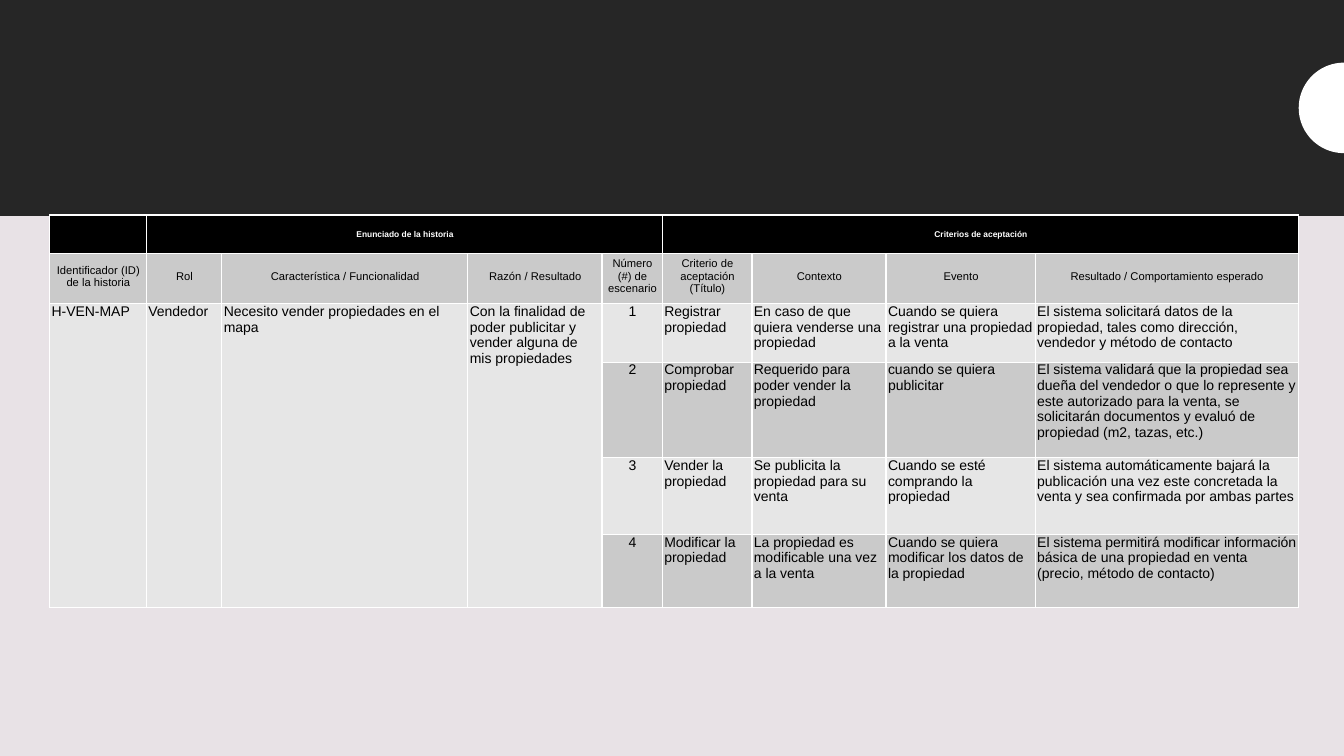
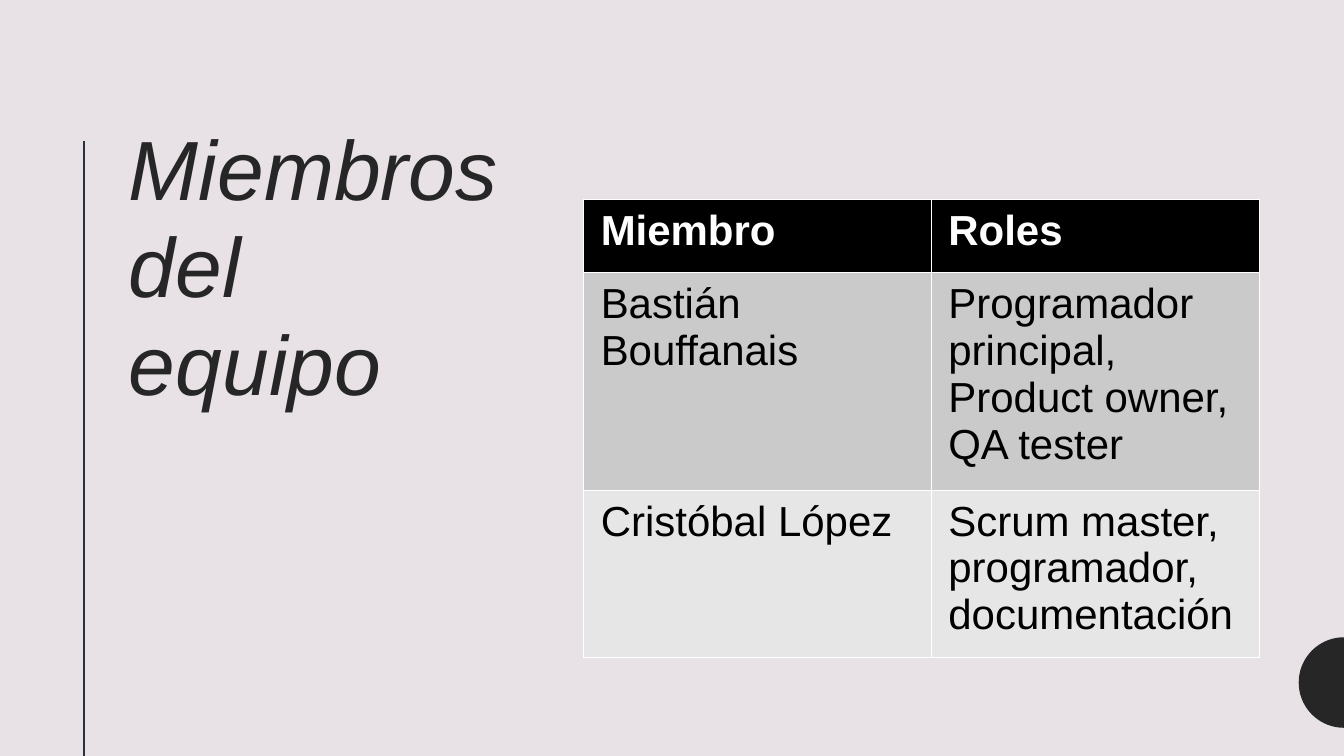
from math import cos, pi, sin

from lxml import etree
from pptx import Presentation
from pptx.dml.color import RGBColor
from pptx.enum.shapes import MSO_CONNECTOR as Connector, MSO_SHAPE as Shape
from pptx.enum.text import MSO_ANCHOR as Anchor, PP_ALIGN as Align
from pptx.oxml.ns import qn
from pptx.util import Cm, Pt

PAGE_WIDTH, PAGE_HEIGHT = 33.87, 19.05
FONT = "Arial"
PALE, DARK, NAVY = "E8E2E6", "262626", "243241"
BLACK, WHITE = "000000", "FFFFFF"
HEAD_FILL, ODD_FILL, EVEN_FILL = BLACK, "CACACA", "E6E6E6"

DISC_RADIUS = 1.14
DISC_STEPS = 48

# Margins are left, top, right, bottom in centimetres.
BAND_STYLE = {"size": 6, "bold": True, "color": WHITE, "align": Align.CENTER,
              "anchor": Anchor.MIDDLE, "margins": (0.08, 0.1, 0.05, 0.1)}
LABEL_STYLE = {"size": 8, "align": Align.CENTER,
               "anchor": Anchor.MIDDLE, "margins": (0.1, 0, 0.08, 0.12)}
STORY_STYLE = {"size": 10, "margins": (0.05, 0, 0.03, 0)}
NUMBER_STYLE = {**STORY_STYLE, "align": Align.CENTER}
MEMBER_STYLE = {"size": 30, "margins": (0.43, 0.2, 0.43, 0.2)}
MEMBER_HEAD_STYLE = {**MEMBER_STYLE, "bold": True, "color": WHITE}
TITLE_STYLE = {"size": 60, "italic": True, "color": DARK, "spacing": 0.97}

STORY_COLUMNS = [2.44, 1.9, 6.2, 3.38, 1.52, 2.26, 3.38, 3.76, 6.63]
STORY_HEIGHTS = [0.91, 1.26, 1.47, 2.41, 1.93, 1.85]
NUMBER_COLUMN = 4
STORY_ROWS = [
    ["", "Enunciado de la historia", "", "", "",
     "Criterios de aceptación", "", "", ""],
    ["Identificador (ID) de la historia", "Rol",
     "Característica / Funcionalidad", "Razón / Resultado",
     "Número (#) de escenario", "Criterio de aceptación (Título)",
     "Contexto", "Evento", "Resultado / Comportamiento esperado"],
    ["H-VEN-MAP", "Vendedor", "Necesito vender propiedades en el mapa",
     "Con la finalidad de poder publicitar y vender alguna de mis propiedades",
     "1", "Registrar propiedad",
     "En caso de que quiera venderse una propiedad",
     "Cuando se quiera registrar una propiedad a la venta",
     "El sistema solicitará datos de la propiedad, tales como dirección, "
     "vendedor y método de contacto"],
    ["", "", "", "", "2", "Comprobar propiedad",
     "Requerido para poder vender la propiedad",
     "cuando se quiera publicitar",
     "El sistema validará que la propiedad sea dueña del vendedor o que lo "
     "represente y este autorizado para la venta, se solicitarán documentos "
     "y evaluó de propiedad (m2, tazas, etc.)"],
    ["", "", "", "", "3", "Vender la propiedad",
     "Se publicita la propiedad para su venta",
     "Cuando se esté comprando la propiedad",
     "El sistema automáticamente bajará la publicación una vez este "
     "concretada la venta y sea confirmada por ambas partes"],
    ["", "", "", "", "4", "Modificar la propiedad",
     "La propiedad es modificable una vez a la venta",
     "Cuando se quiera modificar los datos de la propiedad",
     "El sistema permitirá modificar información básica de una propiedad en "
     "venta (precio, método de contacto)"],
]
# Merged areas: first row, first column, last row, last column.
STORY_MERGES = [(0, 1, 0, 4), (0, 5, 0, 8)]
STORY_MERGES += [(2, column, 5, column) for column in range(NUMBER_COLUMN)]

MEMBER_ROWS = [
    ["Miembro", "Roles"],
    ["Bastián Bouffanais", "Programador principal, Product owner, QA tester"],
    ["Cristóbal López", "Scrum master, programador, documentación"],
]


def rgb(value):
    return RGBColor.from_string(value)


def paint(shape, color):
    """Fill a shape plainly, with no outline or shadow."""
    shape.fill.solid()
    shape.fill.fore_color.rgb = rgb(color)
    shape.line.fill.background()
    shape.shadow.inherit = False


def write(frame, text, style):
    para = frame.paragraphs[0]
    para.alignment = style.get("align", Align.LEFT)
    para.line_spacing = style.get("spacing")
    span = para.add_run()
    span.text = text
    formats = {"name": FONT, "size": Pt(style["size"]),
               "bold": style.get("bold", False),
               "italic": style.get("italic", False)}
    for name, value in formats.items():
        setattr(span.font, name, value)
    span.font.color.rgb = rgb(style.get("color", BLACK))


def add_page(deck):
    return deck.slides.add_slide(deck.slide_layouts[6])


def add_band(page, height, color):
    band = page.shapes.add_shape(
        Shape.RECTANGLE, 0, 0, Cm(PAGE_WIDTH), Cm(height))
    paint(band, color)


def add_half_disc(page, middle, color):
    """Half disc that bulges in from the right edge of the page."""
    angles = [pi / 2 + pi * step / DISC_STEPS for step in range(DISC_STEPS + 1)]
    points = [(Cm(PAGE_WIDTH + DISC_RADIUS * cos(angle)),
               Cm(middle + DISC_RADIUS * sin(angle))) for angle in angles]
    outline = page.shapes.build_freeform(*points[0])
    outline.add_line_segments(points[1:], close=True)
    paint(outline.convert_to_shape(), color)


def add_rule(page, left, top, bottom):
    rule = page.shapes.add_connector(
        Connector.STRAIGHT, Cm(left), Cm(top), Cm(left), Cm(bottom))
    rule.line.color.rgb = rgb(NAVY)
    rule.line.width = Pt(1.5)
    etree.SubElement(rule._element.spPr, qn("a:effectLst"))


def add_title(page, text, left, top, width, height):
    box = page.shapes.add_textbox(Cm(left), Cm(top), Cm(width), Cm(height))
    box.text_frame.word_wrap = True
    write(box.text_frame, text, TITLE_STYLE)


def fill_cell(cell, text, style, color):
    cell.fill.solid()
    cell.fill.fore_color.rgb = rgb(color)
    cell.vertical_anchor = style.get("anchor", Anchor.TOP)
    for side, margin in zip(("left", "top", "right", "bottom"), style["margins"]):
        setattr(cell, f"margin_{side}", Cm(margin))
    if text:
        write(cell.text_frame, text, style)


def row_fill(row):
    if row == 0:
        return HEAD_FILL
    return ODD_FILL if row % 2 else EVEN_FILL


def add_grid(page, left, top, widths, heights, rows, style_at, merges=()):
    """Add a banded table; style_at(row, column) gives the style of a cell."""
    table = page.shapes.add_table(
        len(heights), len(widths), Cm(left), Cm(top),
        Cm(sum(widths)), Cm(sum(heights))).table
    for column, width in zip(table.columns, widths):
        column.width = Cm(width)
    for row, height in zip(table.rows, heights):
        row.height = Cm(height)
    for row, texts in enumerate(rows):
        for column, text in enumerate(texts):
            fill_cell(table.cell(row, column), text,
                      style_at(row, column), row_fill(row))
    for first_row, first_column, last_row, last_column in merges:
        table.cell(first_row, first_column).merge(
            table.cell(last_row, last_column))


def story_style(row, column):
    if row < 2:
        return (BAND_STYLE, LABEL_STYLE)[row]
    return NUMBER_STYLE if column == NUMBER_COLUMN else STORY_STYLE


def member_style(row, column):
    return MEMBER_STYLE if row else MEMBER_HEAD_STYLE


def build_story(deck):
    page = add_page(deck)
    add_band(page, 5.44, DARK)
    add_half_disc(page, 2.72, WHITE)
    add_grid(page, 1.25, 5.42, STORY_COLUMNS, STORY_HEIGHTS, STORY_ROWS,
             story_style, STORY_MERGES)


def build_team(deck):
    page = add_page(deck)
    add_title(page, "Miembros del equipo", 3, 2.95, 9.93, 13.36)
    add_rule(page, 2.11, 3.56, PAGE_HEIGHT)
    add_half_disc(page, 17.2, DARK)
    add_grid(page, 14.71, 5.02, [8.76, 8.28], [1.85, 5.13, 3.96],
             MEMBER_ROWS, member_style)


def main():
    deck = Presentation()
    deck.slide_width, deck.slide_height = Cm(PAGE_WIDTH), Cm(PAGE_HEIGHT)
    backdrop = deck.slide_master.background.fill
    backdrop.solid()
    backdrop.fore_color.rgb = rgb(PALE)
    build_story(deck)
    build_team(deck)
    deck.save("out.pptx")


if __name__ == "__main__":
    main()
